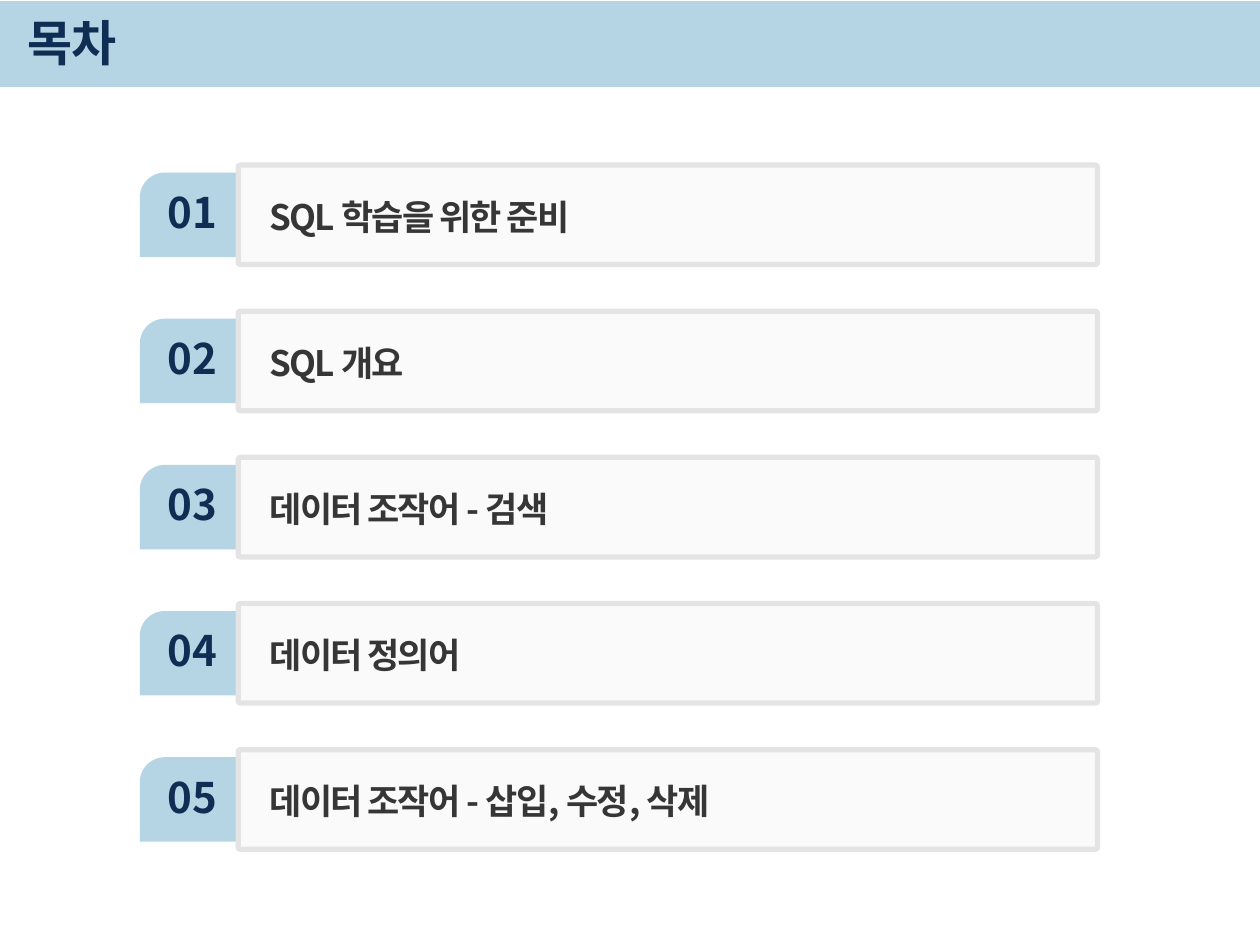
from typing import NamedTuple

from pptx import Presentation
from pptx.dml.color import RGBColor
from pptx.enum.shapes import MSO_SHAPE
from pptx.enum.text import MSO_ANCHOR, PP_ALIGN
from pptx.oxml.ns import qn
from pptx.util import Inches, Pt
from lxml.etree import SubElement

FONT = "Noto Sans CJK KR"
NAVY, GREY, SKY = "0F2E53", "363636", "B5D5E4"
PANEL, BORDER = "F2F2F2", "E4E4E4"
FIRST_TOP, PITCH = 1.31, 1.16


class Box(NamedTuple):
    left: float
    top: float
    width: float
    height: float

    def lowered(self, dy: float) -> "Box":
        return self._replace(top=self.top + dy)

    def emu(self) -> list[int]:
        return [Inches(v) for v in self]


# Parts of an agenda row, measured from the top of its panel
TAB = Box(1.11, 0.06, 0.8, 0.67)
NUMBER = Box(1.23, 0.12, 0.59, 0.5)
BAR = Box(1.89, 0, 6.82, 0.79)
TOPIC = Box(2.04, 0.17, 5.28, 0.44)

TOPICS = [
    "SQL 학습을 위한 준비",
    "SQL 개요",
    "데이터 조작어 - 검색",
    "데이터 정의어",
    "데이터 조작어 - 삽입, 수정, 삭제",
]


def rgb(color: str) -> RGBColor:
    return RGBColor.from_string(color)


def add_panel(shapes, kind: MSO_SHAPE, box: Box, color: str, adjustments=()):
    """Add a flat filled shape without an outline."""
    s = shapes.add_shape(kind, *box.emu())
    s.shadow.inherit = False
    s.fill.solid()
    s.fill.fore_color.rgb = rgb(color)
    s.line.fill.background()
    for i, value in enumerate(adjustments):
        s.adjustments[i] = value
    return s


def write(tf, text: str, size: int, color: str, align=PP_ALIGN.LEFT, tracking: int = 0):
    """Write one bold line, centred vertically; tracking is in points."""
    tf.vertical_anchor = MSO_ANCHOR.MIDDLE
    tf.margin_top = tf.margin_bottom = 0
    p = tf.paragraphs[0]
    p.alignment = align
    r = p.add_run()
    r.text = text
    r.font.size, r.font.bold, r.font.name = Pt(size), True, FONT
    r.font.color.rgb = rgb(color)
    rPr = r._r.get_or_add_rPr()
    SubElement(rPr, qn("a:ea")).set("typeface", FONT)
    if tracking:
        rPr.set("spc", str(tracking * 100))
    return p


def add_row(slide, number: int, topic: str, top: float) -> None:
    shapes = slide.shapes.add_group_shape().shapes
    add_panel(shapes, MSO_SHAPE.SNIP_ROUND_RECTANGLE, TAB.lowered(top), SKY, (0.296, 0))
    tf = shapes.add_textbox(*NUMBER.lowered(top).emu()).text_frame
    tf.word_wrap = False
    write(tf, f"{number:02}", 24, NAVY, PP_ALIGN.CENTER)

    bar = add_panel(shapes, MSO_SHAPE.ROUNDED_RECTANGLE, BAR.lowered(top), PANEL, (0.023,))
    fill_color = bar.fill._xPr.find(qn("a:solidFill"))[0]
    SubElement(fill_color, qn("a:alpha")).set("val", "33000")
    bar.line.color.rgb = rgb(BORDER)
    bar.line.width = Pt(3)

    tf = shapes.add_textbox(*TOPIC.lowered(top).emu()).text_frame
    tf.word_wrap = True
    p = write(tf, topic, 20, GREY, tracking=-1)
    p.line_spacing = 1.1


def main() -> None:
    prs = Presentation()
    prs.slide_width, prs.slide_height = Inches(10), Inches(7.5)
    slide = prs.slides.add_slide(prs.slide_layouts[5])

    band = add_panel(slide.shapes, MSO_SHAPE.RECTANGLE, Box(0, 0.01, 10, 0.68), SKY)
    title = slide.shapes.title
    band._element.addnext(title._element)
    title.left, title.top, title.width, title.height = Box(0.12, 0.07, 8.51, 0.52).emu()
    write(title.text_frame, "목차", 28, NAVY, tracking=-1)

    for i, topic in enumerate(TOPICS):
        add_row(slide, i + 1, topic, FIRST_TOP + i * PITCH)

    prs.save("out.pptx")


if __name__ == "__main__":
    main()
